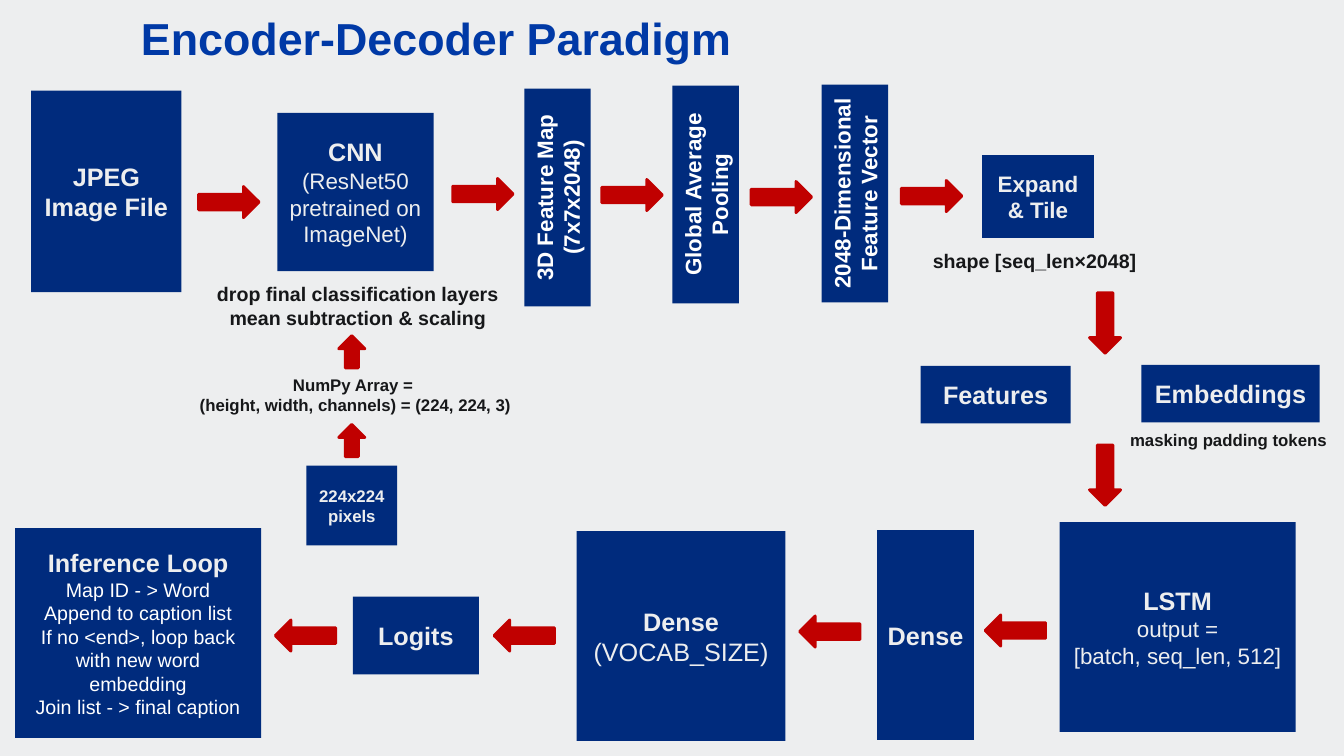
from pptx import Presentation
from pptx.dml.color import RGBColor
from pptx.enum.shapes import MSO_SHAPE
from pptx.enum.text import MSO_ANCHOR, PP_ALIGN
from pptx.util import Inches, Pt

RECT, ARROW = MSO_SHAPE.RECTANGLE, MSO_SHAPE.RIGHT_ARROW
MIDDLE, BOTTOM = MSO_ANCHOR.MIDDLE, MSO_ANCHOR.BOTTOM
CENTER = PP_ALIGN.CENTER

BACKGROUND = RGBColor(0xED, 0xEE, 0xEF)
TITLE_BLUE = RGBColor(0x00, 0x39, 0xA6)
NAVY = RGBColor(0x00, 0x2B, 0x7D)
RED = RGBColor(0xC0, 0x00, 0x00)
INK = RGBColor(0x16, 0x17, 0x19)
WHITE = RGBColor(0xFF, 0xFF, 0xFF)

RIGHT, DOWN, LEFT, UP = 0, 90, 180, 270
PANEL_W, PANEL_H = 0.66, 2.16
LABEL_W, LABEL_H = 2.22, 0.64


def add_text(p, text, size=18, bold=True, color=BACKGROUND):
    p.alignment = CENTER
    r = p.add_run()
    r.text = text
    r.font.name = "Arial"
    r.font.size = Pt(size)
    r.font.bold = bold
    r.font.color.rgb = color


def add_lines(tf, lines, **fmt):
    """Write one centred paragraph per line."""
    tf.word_wrap = True
    tf.vertical_anchor = MIDDLE
    for i, line in enumerate(lines):
        p = tf.add_paragraph() if i or tf.text else tf.paragraphs[0]
        add_text(p, line, **fmt)


def add_filled(s, shape, x, y, w, h, color):
    sp = s.shapes.add_shape(shape, Inches(x), Inches(y), Inches(w), Inches(h))
    sp.shadow.inherit = False
    sp.fill.solid()
    sp.fill.fore_color.rgb = color
    sp.line.fill.background()
    return sp


def add_box(s, x, y, w, h, heading, size=18):
    tf = add_filled(s, RECT, x, y, w, h, NAVY).text_frame
    add_lines(tf, heading, size=size)
    return tf


def add_note(s, x, y, w, h, lines, size, color=INK):
    tb = s.shapes.add_textbox(Inches(x), Inches(y), Inches(w), Inches(h))
    add_lines(tb.text_frame, lines, size=size, color=color)
    return tb


def add_panel(s, x, y, text):
    """Tall panel with a centred label that reads upwards."""
    add_filled(s, RECT, x, y, PANEL_W, PANEL_H, NAVY)
    label_x = x + (PANEL_W - LABEL_W) / 2
    label_y = y + (PANEL_H - LABEL_H) / 2
    add_note(s, label_x, label_y, LABEL_W, LABEL_H, [text], 16, WHITE).rotation = 270


def add_arrow(s, x, y, direction, w=0.6, h=0.31):
    sp = add_filled(s, ARROW, x, y, w, h, RED)
    sp.line.color.rgb = RED
    sp.line.width = Pt(2)
    sp.rotation = direction


def add_title(s, text):
    title = s.shapes.title
    title.left, title.top = Inches(0), Inches(0.17)
    title.width, title.height = Inches(8.78), Inches(0.48)
    tf = title.text_frame
    tf.margin_left = tf.margin_right = tf.margin_top = tf.margin_bottom = 0
    tf.vertical_anchor = BOTTOM
    tf.paragraphs[0].line_spacing = 0.9
    add_text(tf.paragraphs[0], text, size=32, color=TITLE_BLUE)


def main():
    prs = Presentation()
    prs.slide_width, prs.slide_height = Inches(13.33), Inches(7.5)
    s = prs.slides.add_slide(prs.slide_layouts[5])
    s.background.fill.solid()
    s.background.fill.fore_color.rgb = BACKGROUND
    add_title(s, "Encoder-Decoder Paradigm ")

    # Encoder: image to feature vector
    add_box(s, 0.31, 0.9, 1.49, 2, ["JPEG Image File"])
    cnn = add_box(s, 2.75, 1.12, 1.55, 1.57, ["CNN"])
    add_lines(cnn, ["(ResNet50 pretrained on ImageNet)"], size=16, bold=False)
    for x, y, text in [
        (5.2, 0.88, "3D Feature Map (7x7x2048)"),
        (6.67, 0.85, "Global Average Pooling"),
        (8.15, 0.84, "2048-Dimensional Feature Vector"),
    ]:
        add_panel(s, x, y, text)
    add_box(s, 9.74, 1.54, 1.11, 0.82, ["Expand & Tile"], size=16)
    add_note(s, 8.59, 2.42, 3.4, 0.34, ["shape [seq_len×2048] "], 14)

    # Image preprocessing
    add_box(s, 3.04, 4.62, 0.9, 0.79, ["224x224", "pixels"], size=12)
    add_note(s, 1.85, 3.67, 3.35, 0.5,
             ["NumPy Array = ", "(height, width, channels) = (224, 224, 3)"], 12)
    add_note(s, 1.85, 2.75, 3.4, 0.57,
             ["drop final classification layers", "mean subtraction & scaling"], 14)

    # Decoder: features and embeddings to caption
    add_box(s, 9.13, 3.63, 1.49, 0.57, ["Features"])
    add_box(s, 11.32, 3.62, 1.77, 0.57, ["Embeddings"])
    add_note(s, 10.51, 4.21, 3.35, 0.3, ["masking padding tokens"], 12)
    lstm = add_box(s, 10.51, 5.18, 2.34, 2.08, ["LSTM"])
    add_lines(lstm, ["output =", "[batch, seq_len, 512]"], size=16, bold=False)
    add_box(s, 8.7, 5.26, 0.96, 2.08, ["Dense"])
    vocab = add_box(s, 5.72, 5.27, 2.07, 2.08, ["Dense"])
    add_text(vocab.paragraphs[0], " (VOCAB_SIZE)", bold=False)
    add_box(s, 3.5, 5.92, 1.25, 0.77, ["Logits"])
    loop = add_box(s, 0.15, 5.24, 2.44, 2.08, ["Inference Loop"])
    add_lines(loop, [
        "Map ID - > Word",
        "Append to caption list",
        "If no <end>, loop back with new word embedding",
        "Join list - > final caption",
    ], size=14, bold=False, color=WHITE)

    # Flow arrows
    for direction, places in [
        (RIGHT, [(1.97, 1.85), (4.49, 1.77), (5.97, 1.78), (7.45, 1.8), (8.94, 1.79)]),
        (DOWN, [(10.66, 3.05), (10.66, 4.56)]),
        (LEFT, [(9.77, 6.1), (7.93, 6.11), (4.9, 6.15), (2.73, 6.15)]),
    ]:
        for x, y in places:
            add_arrow(s, x, y, direction)
    for y in (3.36, 4.24):
        add_arrow(s, 3.33, y, UP, w=0.32, h=0.26)

    prs.save("out.pptx")


if __name__ == "__main__":
    main()
